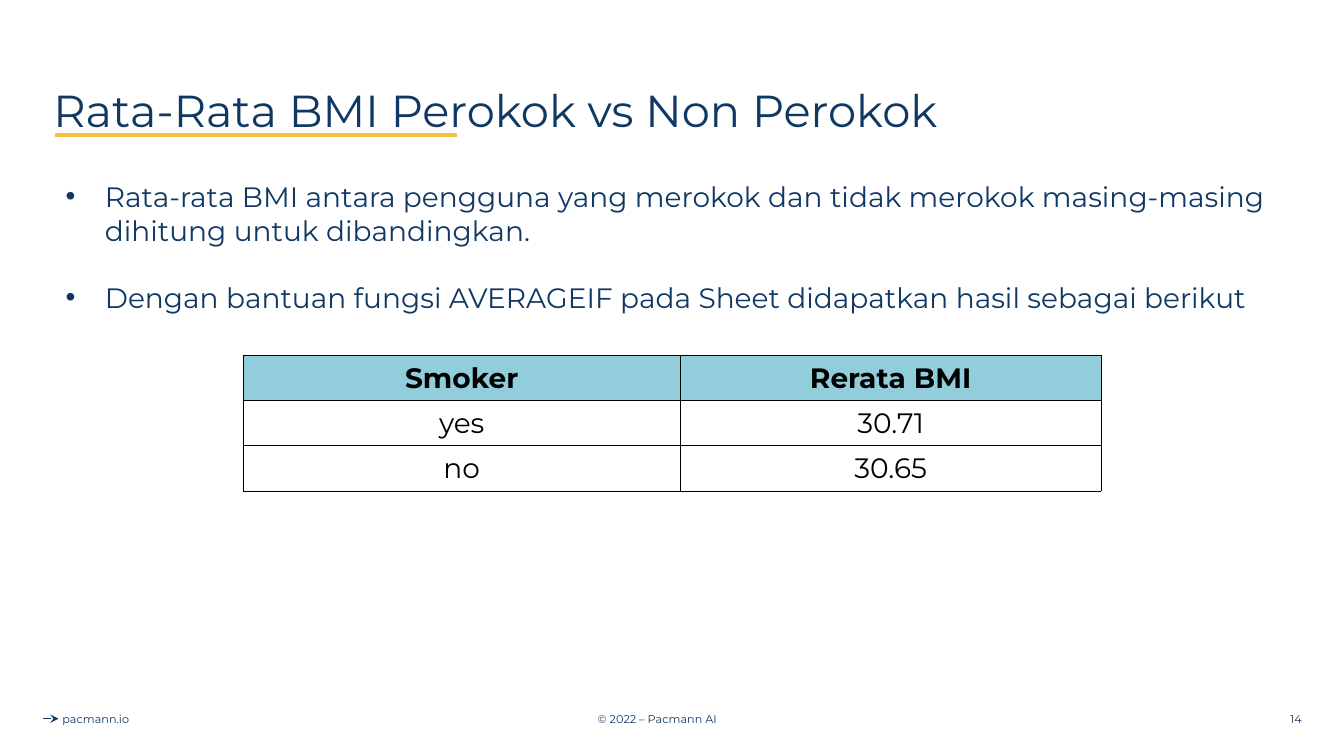
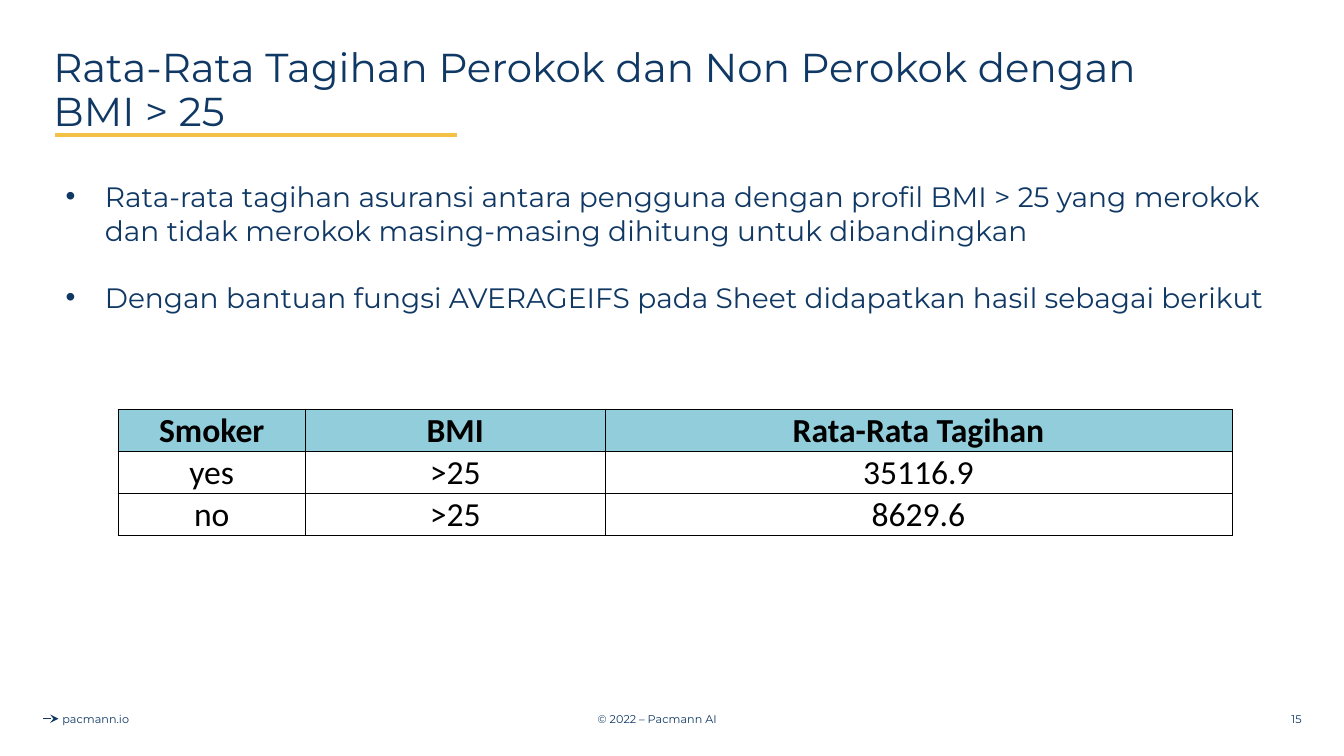
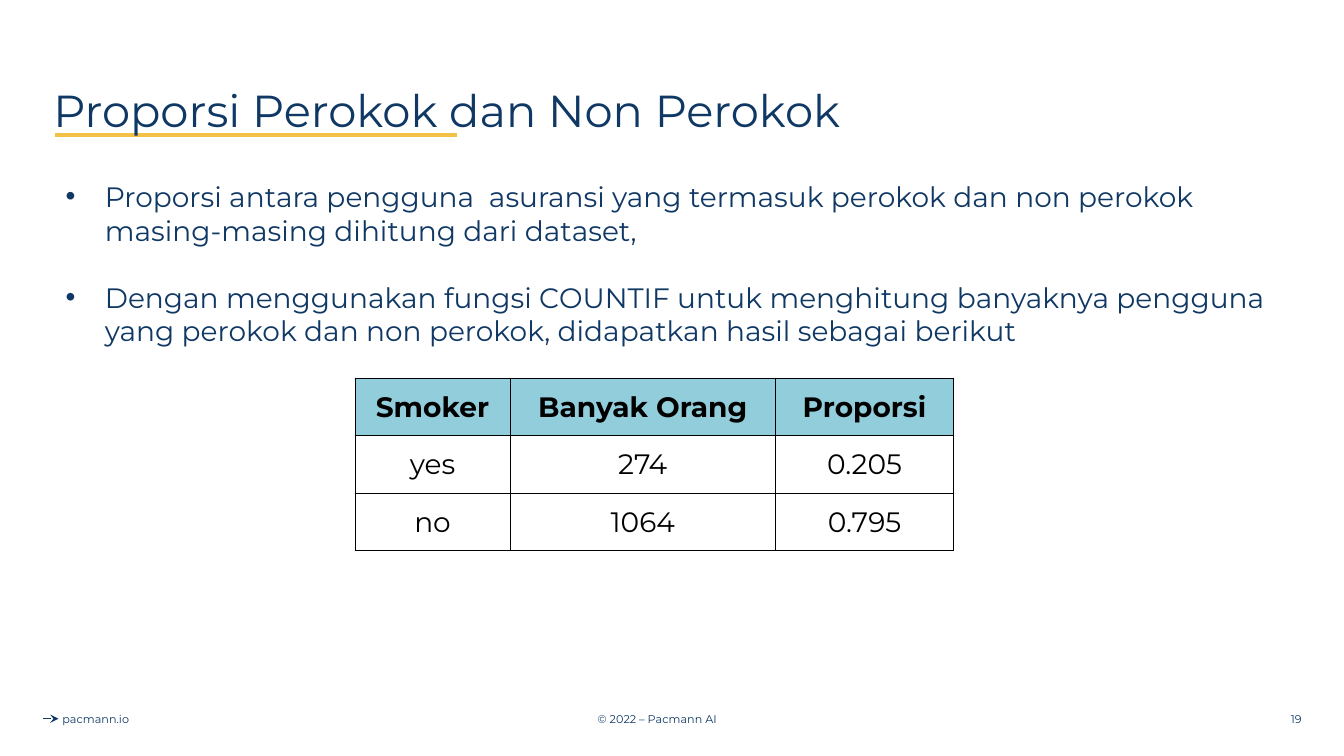
from lxml.etree import SubElement
from pptx import Presentation
from pptx.dml.color import RGBColor
from pptx.enum.shapes import MSO_CONNECTOR
from pptx.enum.text import MSO_ANCHOR, MSO_AUTO_SIZE, PP_ALIGN
from pptx.oxml import parse_xml
from pptx.oxml.ns import nsdecls, qn
from pptx.util import Inches, Pt

NAVY = "103864"
GOLD = "F3C145"
BLACK = "000000"
AQUA = "92CDDC"
FONT = "Montserrat"

PAGES = [
    {
        "page": 14,
        "title": "Rata-Rata BMI Perokok vs Non Perokok",
        "items": [
            "Rata-rata BMI antara pengguna yang merokok dan tidak merokok masing-masing dihitung untuk dibandingkan.",
            "Dengan bantuan fungsi AVERAGEIF pada Sheet didapatkan hasil sebagai berikut",
        ],
        "rows": [["Smoker", "Rerata BMI"], ["yes", "30.71"], ["no", "30.65"]],
        "grid": {"left": 2.41, "top": 3.52, "cols": [4.34, 4.17], "high": 0.45},
    },
    {
        "page": 15,
        "title": "Rata-Rata Tagihan Perokok dan Non Perokok dengan\vBMI > 25",
        "size": 28.8,
        "items": [
            "Rata-rata tagihan asuransi antara pengguna dengan profil BMI > 25 yang merokok dan tidak merokok masing-masing dihitung untuk dibandingkan",
            "Dengan bantuan fungsi AVERAGEIFS pada Sheet didapatkan hasil sebagai berikut",
        ],
        "rows": [
            ["Smoker", "BMI", "Rata-Rata Tagihan"],
            ["yes", ">25", "35116.9"],
            ["no", ">25", "8629.6"],
        ],
        "grid": {"left": 1.17, "top": 4.06, "cols": [1.86, 2.97, 6.22],
                 "high": 0.41, "size": 24, "face": "Calibri"},
    },
    {
        "page": 19,
        "title": "Proporsi Perokok dan Non Perokok",
        "items": [
            "Proporsi antara pengguna  asuransi yang termasuk perokok dan non perokok masing-masing dihitung dari dataset,",
            "Dengan menggunakan fungsi COUNTIF untuk menghitung banyaknya pengguna yang perokok dan non perokok, didapatkan hasil sebagai berikut",
        ],
        "rows": [
            ["Smoker", "Banyak Orang", "Proporsi"],
            ["yes", "274", "0.205"],
            ["no", "1064", "0.795"],
        ],
        "grid": {"left": 3.52, "top": 3.75, "cols": [1.54, 2.63, 1.77], "high": 0.57},
    },
]


def tint(code):
    return RGBColor.from_string(code)


def style(para, size, color=NAVY, face=FONT, bold=False):
    para.font.size = Pt(size)
    para.font.name = face
    para.font.bold = bold
    para.font.color.rgb = tint(color)


def place(shape, left, top, width, height):
    shape.left, shape.top = Inches(left), Inches(top)
    shape.width, shape.height = Inches(width), Inches(height)


def rule(slide, left, right, y, color, width):
    line = slide.shapes.add_connector(
        MSO_CONNECTOR.STRAIGHT, Inches(left), Inches(y), Inches(right), Inches(y))
    line.line.color.rgb = tint(color)
    line.line.width = Pt(width)
    SubElement(line.element.spPr, qn("a:effectLst"))
    return line


def label(slide, text, left, width, align):
    box = slide.shapes.add_textbox(
        Inches(left), Inches(6.93), Inches(width), Inches(0.4))
    frame = box.text_frame
    frame.word_wrap = True
    frame.vertical_anchor = MSO_ANCHOR.MIDDLE
    para = frame.paragraphs[0]
    para.text = text
    para.alignment = align
    style(para, 8)
    return box


def share(slide, layout):
    arrow = rule(slide, 0.43, 0.58, 7.13, NAVY, 0.75)
    SubElement(arrow.element.spPr.find(qn("a:ln")), qn("a:tailEnd"), type="stealth")
    parts = [
        arrow,
        label(slide, "© 2022 – Pacmann AI", 4.27, 4.5, PP_ALIGN.CENTER),
        label(slide, "pacmann.io", 0.2, 1.5, PP_ALIGN.CENTER),
        rule(slide, 0.55, 4.53, 1.34, GOLD, 2.25),
    ]
    tree = layout.shapes.element
    for index, part in enumerate(parts, 20):
        part.element.xpath(".//p:cNvPr")[0].set("id", str(index))
        tree.append(part.element)


def head(slide, text, size):
    title = slide.shapes.title
    gap = 0.44 * text.count("\v")
    place(title, 0.43, 0.4, 12.47, 1.45 - gap)
    frame = title.text_frame
    frame.text = text
    frame.auto_size = MSO_AUTO_SIZE.NONE
    frame.vertical_anchor = MSO_ANCHOR.MIDDLE
    para = frame.paragraphs[0]
    para.alignment = PP_ALIGN.LEFT
    para.line_spacing = 0.9
    style(para, size)


def bullet(para):
    props = para._p.get_or_add_pPr()
    props.set("marL", str(Inches(0.5)))
    props.set("indent", str(Inches(-0.39)))
    color = SubElement(props, qn("a:buClr"))
    SubElement(color, qn("a:srgbClr"), val=NAVY)
    SubElement(props, qn("a:buFont"), typeface="Arial")
    SubElement(props, qn("a:buChar"), char="•")


def points(slide, items):
    body = slide.placeholders[1]
    place(body, 0.44, 1.73, 12.46, 1.78)
    frame = body.text_frame
    frame.text = "\n".join(items)
    frame.auto_size = MSO_AUTO_SIZE.NONE
    frame.vertical_anchor = MSO_ANCHOR.TOP
    for index, para in enumerate(frame.paragraphs):
        bullet(para)
        para.space_before = Pt(24 if index else 0)
        style(para, 20)


def border(cell):
    props = cell._tc.get_or_add_tcPr()
    for index, side in enumerate(("lnL", "lnR", "lnT", "lnB")):
        props.insert(index, parse_xml(
            f'<a:{side} {nsdecls("a")} w="{Pt(0.5)}"><a:solidFill>'
            f'<a:srgbClr val="{BLACK}"/></a:solidFill></a:{side}>'))


def fill(cell, text, top, size, face):
    cell.text = text
    cell.vertical_anchor = MSO_ANCHOR.MIDDLE
    cell.margin_left = cell.margin_right = cell.margin_top = Inches(0.01)
    cell.margin_bottom = 0
    para = cell.text_frame.paragraphs[0]
    para.alignment = PP_ALIGN.CENTER
    style(para, size, BLACK, face, top)
    if top:
        cell.fill.solid()
        cell.fill.fore_color.rgb = tint(AQUA)
    else:
        cell.fill.background()
    border(cell)


def table(slide, rows, left, top, cols, high, size=20, face=FONT):
    grid = slide.shapes.add_table(
        len(rows), len(cols), Inches(left), Inches(top),
        Inches(sum(cols)), Inches(high * len(rows))).table
    grid.first_row = grid.horz_banding = False
    for col, width in zip(grid.columns, cols):
        col.width = Inches(width)
    for y, row in enumerate(rows):
        grid.rows[y].height = Inches(high)
        for x, text in enumerate(row):
            fill(grid.cell(y, x), text, y == 0, size, face)


def main():
    deck = Presentation()
    deck.slide_width, deck.slide_height = Inches(13.33), Inches(7.5)
    layout = deck.slide_layouts[1]
    for index, data in enumerate(PAGES):
        slide = deck.slides.add_slide(layout)
        if index == 0:
            share(slide, layout)
        head(slide, data["title"], data.get("size", 32))
        points(slide, data["items"])
        table(slide, data["rows"], **data["grid"])
        label(slide, str(data["page"]), 10.01, 3, PP_ALIGN.RIGHT)
    deck.save("out.pptx")


if __name__ == "__main__":
    main()
